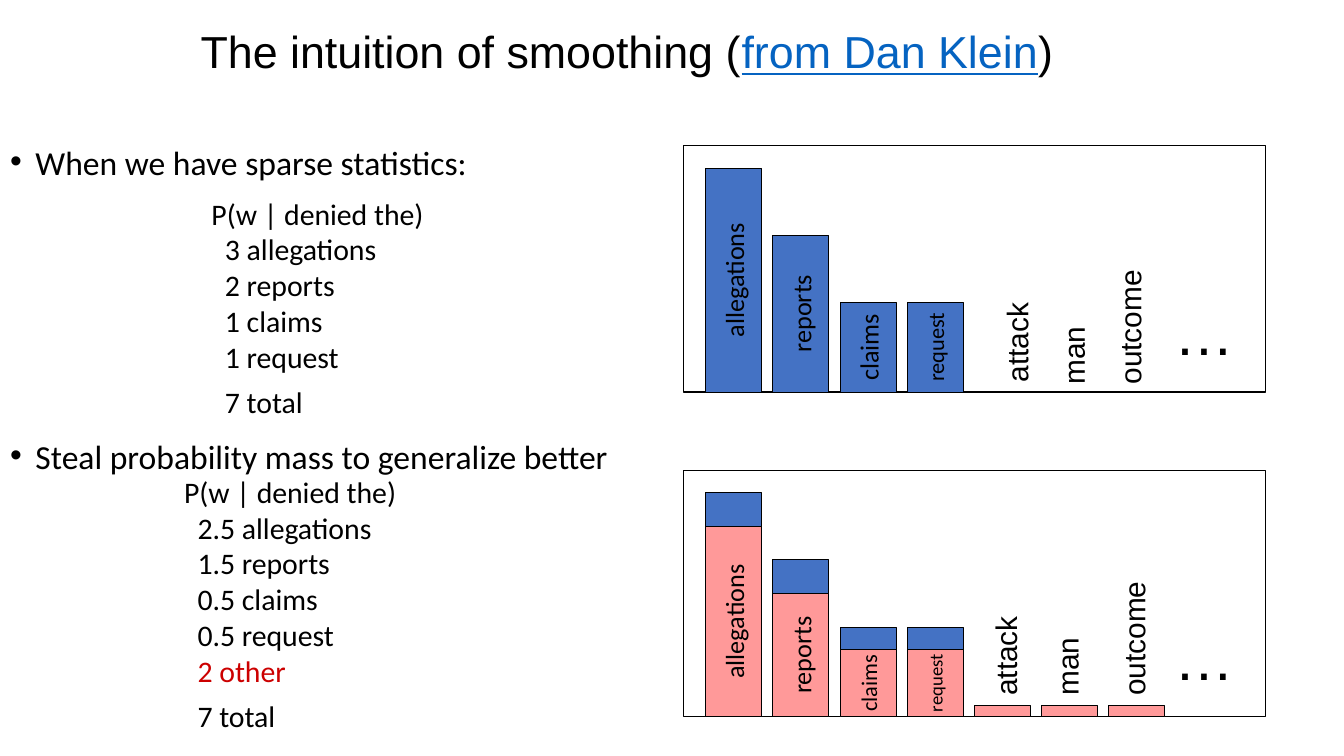
from collections import namedtuple
from dataclasses import dataclass

from pptx import Presentation
from pptx.dml.color import RGBColor
from pptx.enum.shapes import MSO_SHAPE
from pptx.enum.text import MSO_ANCHOR, MSO_AUTO_SIZE, PP_ALIGN
from pptx.util import Cm, Pt

RECTANGLE = MSO_SHAPE.RECTANGLE
MIDDLE = MSO_ANCHOR.MIDDLE
NO_AUTOFIT = MSO_AUTO_SIZE.NONE
LEFT, CENTER = PP_ALIGN.LEFT, PP_ALIGN.CENTER

Box = namedtuple("Box", "left top width height")
Bar = namedtuple("Bar", "word height size")
Unseen = namedtuple("Unseen", "word centre rise")


@dataclass(frozen=True)
class Theme:
    """Colours, fonts and type sizes of the slide."""
    ink: RGBColor = RGBColor(0x00, 0x00, 0x00)
    link: RGBColor = RGBColor(0x05, 0x63, 0xC1)
    observed: RGBColor = RGBColor(0x44, 0x72, 0xC4)
    discounted: RGBColor = RGBColor(0xFF, 0x99, 0x99)
    stolen: RGBColor = RGBColor(0xCC, 0x00, 0x00)
    heading_font: str = "Arial"
    body_font: str = "Calibri"
    title: float = 32
    bullet: float = 24
    count: float = 21.3
    bar: float = 18.7
    bar_small: float = 16
    bar_tiny: float = 13.3
    ellipsis: float = 42.7


THEME = Theme()
GRID = Cm(2.54) / 9
BAR_WIDTH, BAR_PITCH, BAR_INSET = 5, 6, 2

OBSERVED = [
    Bar("allegations", 20, THEME.bar),
    Bar("reports", 14, THEME.bar),
    Bar("claims", 8, THEME.bar),
    Bar("request", 8, THEME.bar_small),
]
COVERED = [
    OBSERVED[0],
    *[bar._replace(word="") for bar in OBSERVED[1:]],
]
DISCOUNTED = [
    Bar("allegations", 17, THEME.bar),
    Bar("reports", 11, THEME.bar),
    Bar("claims", 6, THEME.bar_small),
    Bar("request", 6, THEME.bar_tiny),
    *[Bar("", 1, THEME.bar)] * 3,
]
UNSEEN_BEFORE = [Unseen("attack", 29.75, 0), Unseen("man", 34.8, -0.2),
                 Unseen("outcome", 39.85, -0.2)]
UNSEEN_AFTER = [Unseen("attack", 28.75, 1), Unseen("man", 34.25, 1),
                Unseen("outcome", 40.2, 1)]


def style(paragraph, size, face, color=THEME.ink):
    """Set the font of a whole paragraph."""
    font = paragraph.font
    font.size, font.name = Pt(size), face
    font.color.rgb = color


def place(shape, box):
    """Move a placeholder into a box."""
    shape.left, shape.top, shape.width, shape.height = box


def indent(paragraph, margin, first_line=0):
    """Set the left margin and first-line indent of a paragraph."""
    properties = paragraph._p.get_or_add_pPr()
    properties.set("marL", str(int(margin)))
    properties.set("indent", str(int(first_line)))


def grid_box(panel, left, top, width, height):
    """Turn grid units measured from a panel's corner into a box."""
    return Box(round(panel.left + left * GRID), round(panel.top + top * GRID),
               round(width * GRID), round(height * GRID))


def upright_box(panel, centre, rise, length, thickness):
    """Return the unrotated box of an upright item standing above the panel's base."""
    middle = panel.height / GRID - rise - length / 2
    return grid_box(panel, centre - length / 2, middle - thickness / 2, length, thickness)


def add_title(slide, box):
    """Write the title with its underlined credit."""
    title = slide.shapes.title
    place(title, box)
    title.text_frame.vertical_anchor = MIDDLE
    title.text_frame.auto_size = NO_AUTOFIT
    heading = title.text_frame.paragraphs[0]
    heading.alignment, heading.line_spacing = LEFT, 0.9
    style(heading, THEME.title, THEME.heading_font)
    for words in ("The intuition of smoothing (", "from Dan Klein", ")"):
        heading.add_run().text = words
    credit = heading.runs[1].font
    credit.color.rgb, credit.underline = THEME.link, True


def add_bullets(slide, box, bullets):
    """Fill the body placeholder with (text, space before) bullets."""
    body = slide.placeholders[1]
    place(body, box)
    frame = body.text_frame
    frame.auto_size = NO_AUTOFIT
    frame.text = "\n".join(text for text, _ in bullets)
    for bullet, (_, gap) in zip(frame.paragraphs, bullets):
        bullet.line_spacing, bullet.space_before = 0.7, Pt(gap)
        indent(bullet, Cm(0.64), -Cm(0.64))
        style(bullet, THEME.bullet, THEME.body_font)


def add_counts(slide, box, counts):
    """List the word counts under their condition, with the total set apart."""
    frame = slide.shapes.add_textbox(*box).text_frame
    frame.word_wrap = True
    frame.text = "\n".join(["P(w | denied the)", *counts, "7 total"])
    for line in frame.paragraphs:
        color = THEME.stolen if line.text.endswith("other") else THEME.ink
        style(line, THEME.count, THEME.body_font, color)
    for line in frame.paragraphs[1:]:
        indent(line, Cm(0.34))
    frame.paragraphs[-1].space_before = Pt(6.5)


def add_rectangle(slide, box, fill=None):
    """Draw a thin-lined rectangle, filled when a colour is given."""
    rectangle = slide.shapes.add_shape(RECTANGLE, *box)
    rectangle.shadow.inherit = False
    rectangle.line.color.rgb, rectangle.line.width = THEME.ink, Pt(0.75)
    if fill is None:
        rectangle.fill.background()
    else:
        rectangle.fill.solid()
        rectangle.fill.fore_color.rgb = fill
    return rectangle


def add_bars(slide, panel, bars, fill):
    """Stand a row of bars on the panel's base."""
    for column, bar in enumerate(bars):
        centre = BAR_INSET + column * BAR_PITCH + BAR_WIDTH / 2
        box = upright_box(panel, centre, 0, bar.height, BAR_WIDTH)
        block = add_rectangle(slide, box, fill)
        block.rotation = 270
        if bar.word:
            frame = block.text_frame
            frame.word_wrap, frame.vertical_anchor = False, MIDDLE
            frame.text = bar.word
            frame.paragraphs[0].alignment = CENTER
            style(frame.paragraphs[0], bar.size, THEME.body_font)


def add_label(slide, box, text, size, rotation=0):
    """Place a word on the panel."""
    label = slide.shapes.add_textbox(*box)
    label.rotation = rotation
    label.text_frame.word_wrap = True
    label.text_frame.text = text
    style(label.text_frame.paragraphs[0], size, THEME.heading_font)


def add_histogram(slide, panel, layers, unseen_words):
    """Draw a framed histogram with layers of bars and the unseen words."""
    add_rectangle(slide, panel)
    for bars, fill in layers:
        add_bars(slide, panel, bars, fill)
    for unseen in unseen_words:
        box = upright_box(panel, unseen.centre, unseen.rise, 15, 4.1)
        add_label(slide, box, unseen.word, THEME.count, 270)
    add_label(slide, grid_box(panel, 43, 13, 7, 7.4), "…", THEME.ellipsis)


def main():
    """Build the smoothing slide and save it."""
    deck = Presentation()
    deck.slide_width, deck.slide_height = Cm(33.87), Cm(19.05)
    slide = deck.slides.add_slide(deck.slide_layouts[1])

    add_title(slide, Box(Cm(4.8), Cm(0), Cm(27.66), Cm(2.74)))
    add_bullets(slide, Box(Cm(0), Cm(3.73), Cm(30.48), Cm(14.96)), [
        ("When we have sparse statistics:", 10),
        ("Steal probability mass to generalize better", 190),
    ])
    add_counts(slide, Box(Cm(5.08), Cm(4.8), Cm(9.04), Cm(5.94)),
               ["3 allegations", "2 reports", "1 claims", "1 request"])
    add_counts(slide, Box(Cm(4.39), Cm(11.81), Cm(9.04), Cm(6.86)),
               ["2.5 allegations", "1.5 reports", "0.5 claims", "0.5 request", "2 other"])

    before = Box(Cm(17.22), Cm(3.67), Cm(14.68), Cm(6.21))
    after = before._replace(top=Cm(11.85))
    add_histogram(slide, before, [(OBSERVED, THEME.observed)], UNSEEN_BEFORE)
    add_histogram(slide, after, [(COVERED, THEME.observed), (DISCOUNTED, THEME.discounted)],
                  UNSEEN_AFTER)
    deck.save("out.pptx")


if __name__ == "__main__":
    main()
